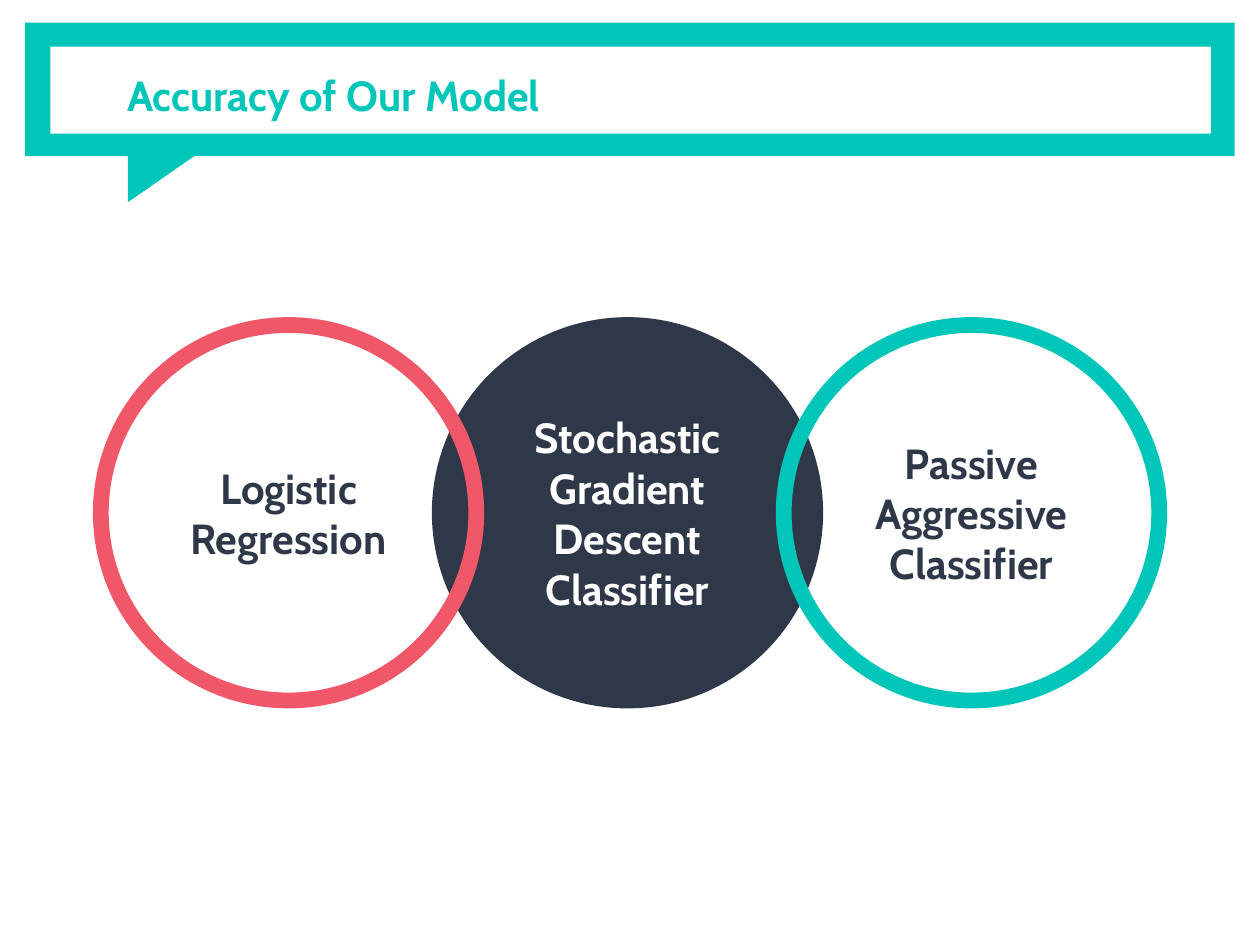
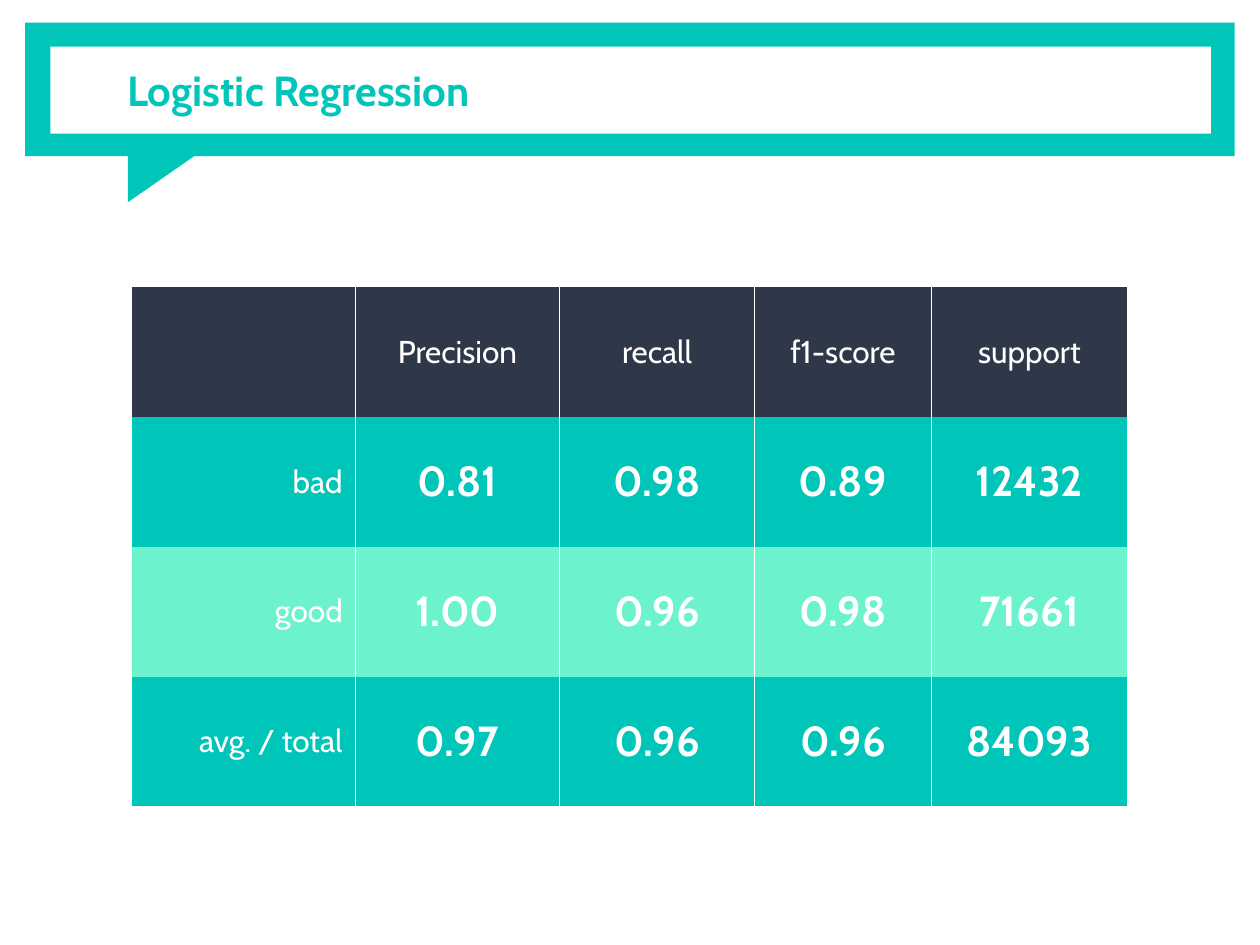
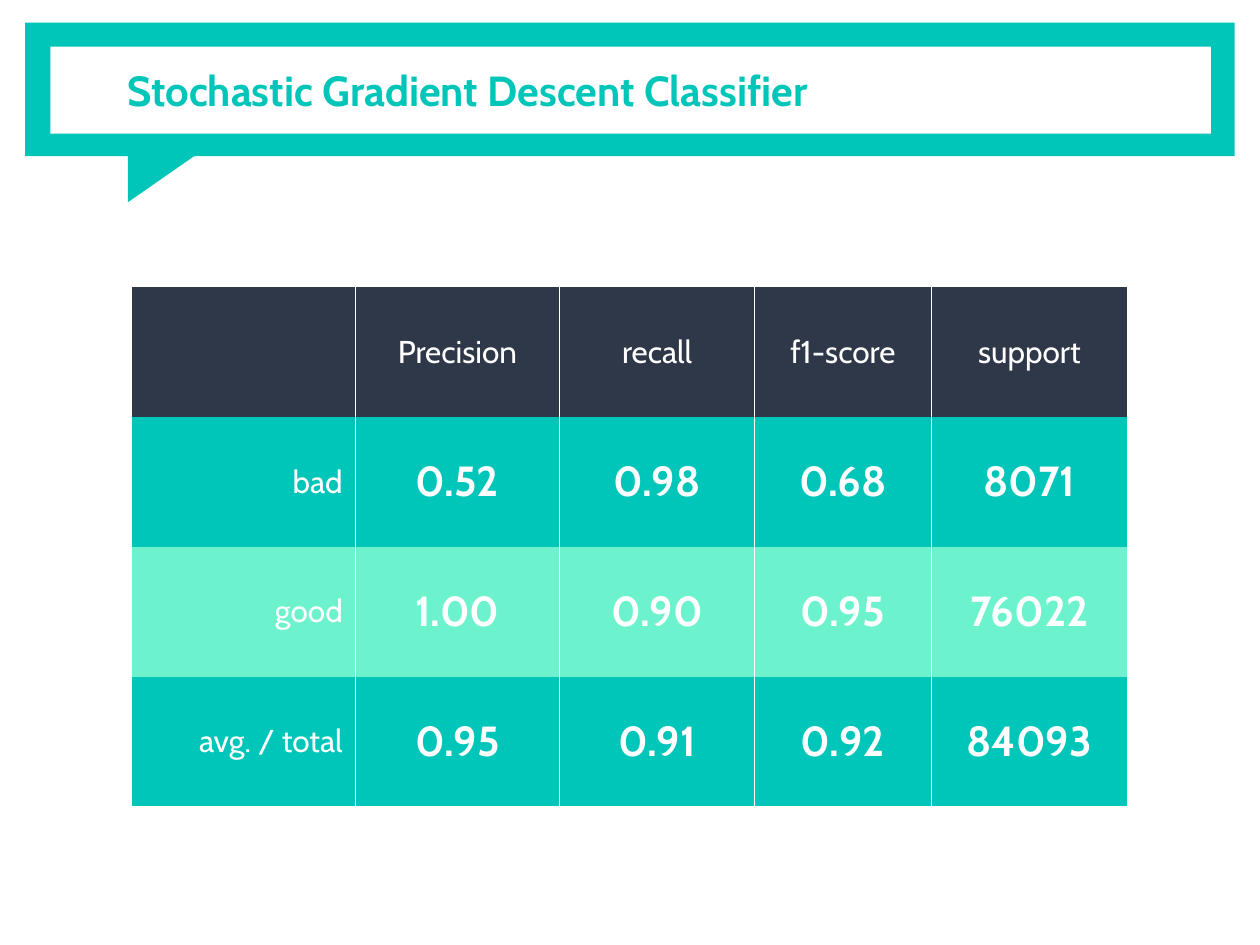
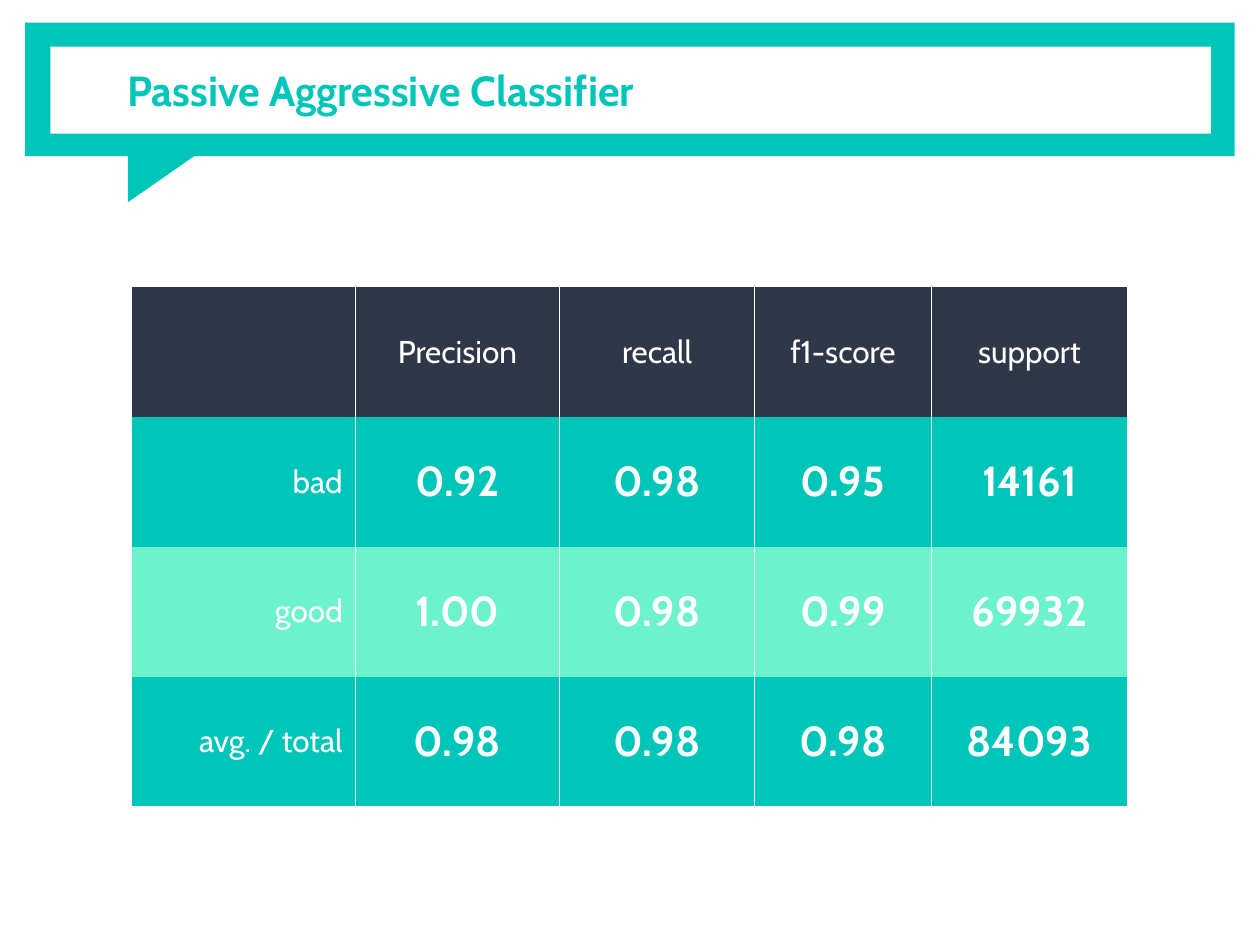
from dataclasses import dataclass

from lxml.etree import SubElement
from pptx import Presentation
from pptx.dml.color import RGBColor
from pptx.enum.shapes import MSO_SHAPE
from pptx.enum.text import MSO_ANCHOR, MSO_AUTO_SIZE, PP_ALIGN
from pptx.oxml import parse_xml
from pptx.oxml.ns import nsdecls, qn
from pptx.util import Inches, Pt


@dataclass(frozen=True)
class Theme:
    teal: str = "00C5B9"
    mint: str = "6CF3CE"
    navy: str = "2F3848"
    coral: str = "F05768"
    white: str = "FFFFFF"
    font: str = "Cabin"
    large: int = 24
    small: int = 18
    ring: float = 9
    rule: float = 0.75
    margin: float = 0.1


T = Theme()
NO_GRID_STYLE = "{2D5ABB26-0587-4C30-8999-92F81FD0307C}"

BAND_BOX = (0.2, 0.18, 9.6, 1.06)
CIRCLES_BOX = (0.8, 2.58, 8.4, 2.98)
TABLE_BOX = (1.04, 2.28, 7.92, 4.12)

# Left offset, label, fill, ring and text colours, from back to front
CIRCLES = [
    (2.69, "Stochastic Gradient Descent Classifier", T.navy, T.navy, T.white),
    (0, "Logistic Regression", None, T.coral, T.navy),
    (5.42, "Passive Aggressive Classifier", None, T.teal, T.navy),
]

COLUMNS = ["", "Precision", "recall", "f1-score", "support"]
COLUMN_WIDTHS = [1.78, 1.62, 1.55, 1.4, 1.56]
ROW_LABELS = ["bad", "good", "avg. / total"]
ROW_FILLS = [T.navy, T.teal, T.mint, T.teal]
SCORES = {
    "Logistic Regression": [
        ["0.81", "0.98", "0.89", "12432"],
        ["1.00", "0.96", "0.98", "71661"],
        ["0.97", "0.96", "0.96", "84093"],
    ],
    "Stochastic Gradient Descent Classifier": [
        ["0.52", "0.98", "0.68", "8071"],
        ["1.00", "0.90", "0.95", "76022"],
        ["0.95", "0.91", "0.92", "84093"],
    ],
    "Passive Aggressive Classifier": [
        ["0.92", "0.98", "0.95", "14161"],
        ["1.00", "0.98", "0.99", "69932"],
        ["0.98", "0.98", "0.98", "84093"],
    ],
}


def rgb(value):
    return RGBColor.from_string(value)


def set_text(tf, text, color, size=T.large, bold=True, align=PP_ALIGN.CENTER):
    tf.text = text
    tf.word_wrap = True
    p = tf.paragraphs[0]
    p.alignment = align
    for r in p.runs:
        r.font.name = T.font
        r.font.size = Pt(size)
        r.font.bold = bold
        r.font.color.rgb = rgb(color)


def set_margins(target):
    """Middle anchor and equal insets, for a text frame or a table cell."""
    target.vertical_anchor = MSO_ANCHOR.MIDDLE
    target.margin_left = target.margin_right = Inches(T.margin)
    target.margin_top = target.margin_bottom = Inches(T.margin)


def add_shape(s, kind, box, fill=None, line=None):
    sp = s.shapes.add_shape(kind, *map(Inches, box))
    sp.shadow.inherit = False
    if fill:
        sp.fill.solid()
        sp.fill.fore_color.rgb = rgb(fill)
    else:
        sp.fill.background()
    if line:
        sp.line.color.rgb = rgb(line)
        sp.line.width = Pt(T.ring)
    else:
        sp.line.fill.background()
    return sp


def add_band(s, box):
    """Speech-bubble band, moved to the layout so that every slide shows it."""
    x, y, w, h = box
    frame = add_shape(s, MSO_SHAPE.RECTANGLE, box, T.teal)
    tail = add_shape(s, MSO_SHAPE.RIGHT_TRIANGLE, (x + 0.92, y + 0.84, 0.48, 0.69), T.teal)
    tail.rotation = 90
    panel = add_shape(s, MSO_SHAPE.RECTANGLE, (x + 0.2, y + 0.19, w - 0.39, h - 0.37), T.white)
    tree = s.slide_layout.shapes._spTree
    for i, sp in enumerate((frame, tail, panel)):
        sp._element.nvSpPr.cNvPr.set("id", str(100 + i))
        tree.insert(2 + i, sp._element)


def add_title(s, text, box, drop=0):
    x, y, w, h = box
    title = s.shapes.title
    title.left, title.top = Inches(x + 0.71), Inches(y + drop)
    title.width, title.height = Inches(w - 0.9), Inches(h)
    tf = title.text_frame
    set_text(tf, text, T.teal, align=PP_ALIGN.LEFT)
    set_margins(tf)
    tf.auto_size = MSO_AUTO_SIZE.NONE


def add_circles(s, box):
    x, y, w, size = box
    for offset, label, fill, ring, color in CIRCLES:
        sp = add_shape(s, MSO_SHAPE.OVAL, (x + offset, y, size, size), fill, ring)
        set_text(sp.text_frame, label, color)
        set_margins(sp.text_frame)


def add_side_borders(cell):
    tcPr = cell._tc.get_or_add_tcPr()
    for i, side in enumerate(("lnL", "lnR")):
        ln = parse_xml(f'<a:{side} {nsdecls("a")} w="{Pt(T.rule)}"/>')
        fill = SubElement(ln, qn("a:solidFill"))
        SubElement(fill, qn("a:srgbClr"), val=T.white)
        tcPr.insert(i, ln)


def add_scores(s, scores, box):
    rows = [COLUMNS] + [[label, *row] for label, row in zip(ROW_LABELS, scores)]
    frame = s.shapes.add_table(len(rows), len(COLUMNS), *map(Inches, box))
    table = frame.table
    table._tbl.tblPr.find(qn("a:tableStyleId")).text = NO_GRID_STYLE
    table.first_row = table.horz_banding = False
    for column, width in zip(table.columns, COLUMN_WIDTHS):
        column.width = Inches(width)
    for i, row in enumerate(rows):
        table.rows[i].height = Inches(box[3] / len(rows))
        for j, text in enumerate(row):
            cell = table.cell(i, j)
            is_score = i > 0 and j > 0
            align = PP_ALIGN.CENTER if j else PP_ALIGN.RIGHT
            set_text(cell.text_frame, text, T.white,
                     T.large if is_score else T.small, is_score, align)
            set_margins(cell)
            cell.fill.solid()
            cell.fill.fore_color.rgb = rgb(ROW_FILLS[i])
            add_side_borders(cell)


def main():
    prs = Presentation()
    prs.slide_width, prs.slide_height = Inches(10), Inches(7.5)
    title_only = prs.slide_layouts[5]

    # Overview of the three models
    s = prs.slides.add_slide(title_only)
    add_band(s, BAND_BOX)
    add_title(s, "Accuracy of Our Model", BAND_BOX, drop=0.04)
    add_circles(s, CIRCLES_BOX)

    # One table of scores per model
    for model, scores in SCORES.items():
        s = prs.slides.add_slide(title_only)
        add_title(s, model, BAND_BOX)
        add_scores(s, scores, TABLE_BOX)

    prs.save("out.pptx")


if __name__ == "__main__":
    main()
